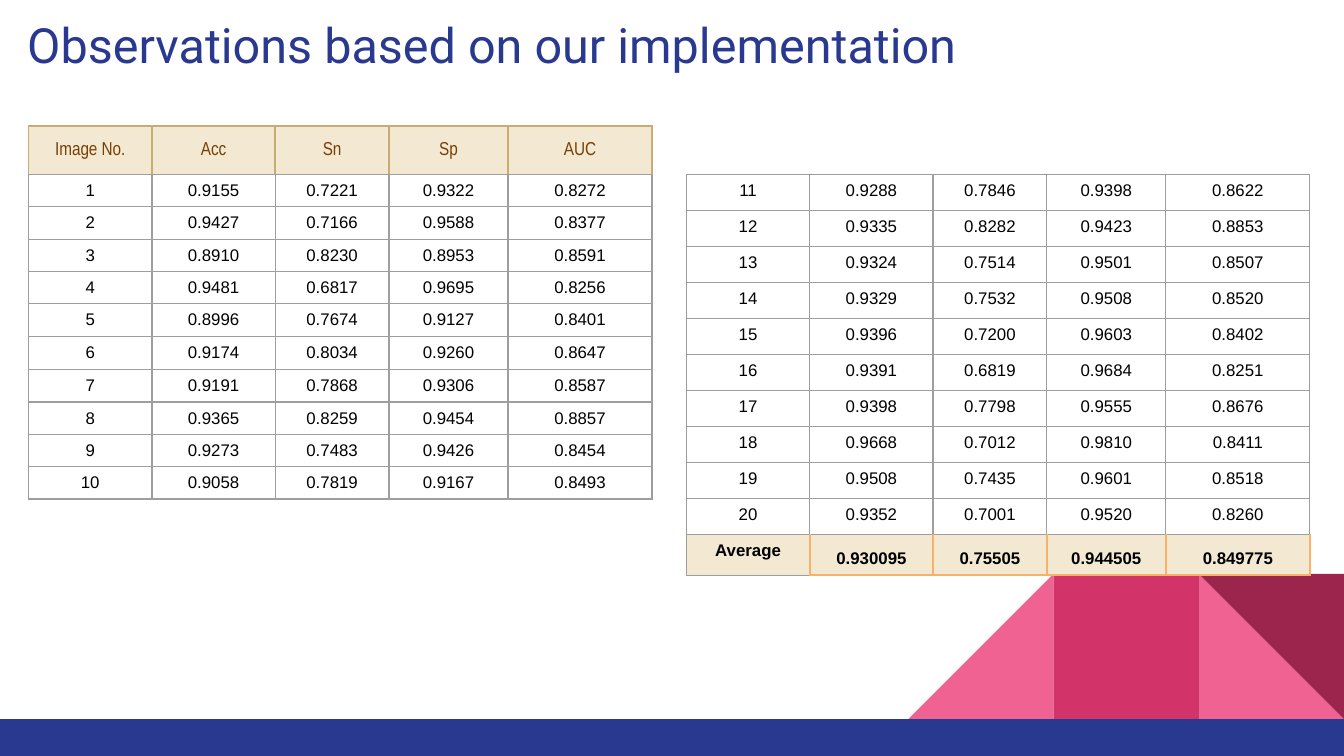
from collections import namedtuple
from dataclasses import dataclass

from lxml.etree import SubElement
from pptx import Presentation
from pptx.dml.color import RGBColor
from pptx.enum.shapes import MSO_SHAPE as Preset
from pptx.enum.text import MSO_ANCHOR as Anchor, PP_ALIGN as Align
from pptx.oxml import parse_xml
from pptx.oxml.ns import nsdecls, qn
from pptx.util import Pt

Box = namedtuple("Box", "left top width height")
Style = namedtuple("Style", "font size color bold fill anchor insets spacing borders")


@dataclass(frozen=True)
class Theme:
    """Colours, fonts and type sizes of the deck."""
    navy: str = "2A3990"
    pink: str = "F06292"
    rose: str = "D23369"
    wine: str = "9C254D"
    sand: str = "F3E9D3"
    gold: str = "C8AD73"
    orange: str = "F6B26B"
    brown: str = "783F04"
    black: str = "000000"
    gray: str = "9E9E9E"
    title_font: str = "Roboto"
    header_font: str = "Arial Narrow"
    body_font: str = "Arial"
    title_size: float = 26
    header_size: float = 10
    body_size: float = 9


THEME = Theme()
GRAY_LINE, GOLD_LINE, ORANGE_LINE = (THEME.gray, 0.75), (THEME.gold, 1), (THEME.orange, 1)
BODY = Style(THEME.body_font, THEME.body_size, THEME.black, False, None,
             Anchor.TOP, (7.2, 3.6), None, dict.fromkeys("LRTB", GRAY_LINE))
HEADER = Style(THEME.header_font, THEME.header_size, THEME.brown, False, THEME.sand,
               Anchor.MIDDLE, (5, 3), None,
               {"L": GOLD_LINE, "R": GOLD_LINE, "T": GOLD_LINE, "B": GRAY_LINE})
AVERAGE_LABEL = BODY._replace(bold=True, fill=THEME.sand,
                              borders={**BODY.borders, "R": ORANGE_LINE})
AVERAGE = AVERAGE_LABEL._replace(
    anchor=Anchor.BOTTOM, insets=(2.2, 3.6), spacing=1.15,
    borders={"L": ORANGE_LINE, "R": ORANGE_LINE, "T": GRAY_LINE, "B": ORANGE_LINE})

COLUMN_WIDTHS = (66.1, 66.1, 60.9, 63.8, 77.2)
HEADINGS = ("Image No.", "Acc", "Sn", "Sp", "AUC")
SCORES = """
0.9155 0.7221 0.9322 0.8272
0.9427 0.7166 0.9588 0.8377
0.8910 0.8230 0.8953 0.8591
0.9481 0.6817 0.9695 0.8256
0.8996 0.7674 0.9127 0.8401
0.9174 0.8034 0.9260 0.8647
0.9191 0.7868 0.9306 0.8587
0.9365 0.8259 0.9454 0.8857
0.9273 0.7483 0.9426 0.8454
0.9058 0.7819 0.9167 0.8493
0.9288 0.7846 0.9398 0.8622
0.9335 0.8282 0.9423 0.8853
0.9324 0.7514 0.9501 0.8507
0.9329 0.7532 0.9508 0.8520
0.9396 0.7200 0.9603 0.8402
0.9391 0.6819 0.9684 0.8251
0.9398 0.7798 0.9555 0.8676
0.9668 0.7012 0.9810 0.8411
0.9508 0.7435 0.9601 0.8518
0.9352 0.7001 0.9520 0.8260
"""
IMAGES = [(str(number), *line.split())
          for number, line in enumerate(SCORES.strip().splitlines(), 1)]
AVERAGES = ("Average", "0.930095", "0.75505", "0.944505", "0.849775")


def add_span(para, text, font, size, color, bold=False):
    """Add one formatted run to a paragraph."""
    span = para.add_run()
    span.text = text
    span.font.name, span.font.size, span.font.bold = font, Pt(size), bold
    span.font.color.rgb = RGBColor.from_string(color)


def add_block(page, preset, box, color):
    """Add a plain filled shape without outline or shadow."""
    block = page.shapes.add_shape(preset, *map(Pt, box))
    block.shadow.inherit = False
    block.fill.solid()
    block.fill.fore_color.rgb = RGBColor.from_string(color)
    block.line.fill.background()
    return block


def add_decoration(page, box, bar_height):
    """Draw the bottom bar with the pink blocks standing on its right end."""
    side = box.height - bar_height
    right = box.left + box.width
    left_box, middle_box, right_box = (
        Box(right - count * side, box.top, side, side) for count in (3, 2, 1))
    add_block(page, Preset.RIGHT_TRIANGLE, right_box, THEME.pink)
    mirrored = add_block(page, Preset.RIGHT_TRIANGLE, left_box, THEME.pink)
    mirrored._element.spPr.get_or_add_xfrm().set("flipH", "1")
    add_block(page, Preset.RECTANGLE, middle_box, THEME.rose)
    add_block(page, Preset.RIGHT_TRIANGLE, right_box, THEME.wine).rotation = 180
    bar = Box(box.left, box.top + side, box.width, bar_height)
    add_block(page, Preset.RECTANGLE, bar, THEME.navy)


def add_title(page, box, text):
    """Place the slide title."""
    frame = page.shapes.add_textbox(*map(Pt, box)).text_frame
    frame.word_wrap = True
    frame.vertical_anchor = Anchor.MIDDLE
    frame.margin_left = frame.margin_right = Pt(7.2)
    frame.margin_top = frame.margin_bottom = Pt(7.2)
    add_span(frame.paragraphs[0], text, THEME.title_font, THEME.title_size, THEME.navy)


def set_borders(cell, borders):
    """Give a cell its four border lines."""
    properties = cell._tc.get_or_add_tcPr()
    for index, side in enumerate("LRTB"):
        color, width = borders[side]
        line = parse_xml(f'<a:ln{side} {nsdecls("a")} w="{Pt(width)}"/>')
        fill = SubElement(line, qn("a:solidFill"))
        SubElement(fill, qn("a:srgbClr")).set("val", color)
        properties.insert(index, line)


def fill_cell(cell, text, style):
    """Write and format one table cell."""
    cell.vertical_anchor = style.anchor
    cell.margin_left = cell.margin_right = Pt(style.insets[0])
    cell.margin_top = cell.margin_bottom = Pt(style.insets[1])
    if style.fill:
        cell.fill.solid()
        cell.fill.fore_color.rgb = RGBColor.from_string(style.fill)
    else:
        cell.fill.background()
    set_borders(cell, style.borders)
    para = cell.text_frame.paragraphs[0]
    para.alignment = Align.CENTER
    if style.spacing:
        para.line_spacing = style.spacing
    add_span(para, text, style.font, style.size, style.color, style.bold)


def add_score_table(page, box, rows, row_styles, row_heights):
    """Place a score table whose rows each have a label style and a value style."""
    table = page.shapes.add_table(len(rows), len(COLUMN_WIDTHS), *map(Pt, box)).table
    table.first_row = table.horz_banding = False
    for column, width in zip(table.columns, COLUMN_WIDTHS):
        column.width = Pt(width)
    for row, height, texts, styles in zip(table.rows, row_heights, rows, row_styles):
        row.height = Pt(height)
        label_style, value_style = styles
        for index, (cell, text) in enumerate(zip(row.cells, texts)):
            fill_cell(cell, text, value_style if index else label_style)


def build_results_page(deck):
    """Build the page with the title and the two score tables."""
    page = deck.slides.add_slide(deck.slide_layouts[6])
    add_decoration(page, Box(0, 307.44, 720, 97.56), 19.8)
    width = sum(COLUMN_WIDTHS)
    body_styles = [(BODY, BODY)] * 10
    left_heights = [26] + [17.3] * 4 + [17.3, 18] + [17.3] * 4
    add_score_table(page, Box(15.3, 67.5, width, sum(left_heights)),
                    [HEADINGS] + IMAGES[:10], [(HEADER, HEADER)] + body_styles, left_heights)
    add_title(page, Box(7.5, 0, 671, 47.5), "Observations based on our implementation")
    right_heights = [19.28] * 10 + [21.9]
    add_score_table(page, Box(367.7, 93.5, width, sum(right_heights)),
                    IMAGES[10:] + [AVERAGES], body_styles + [(AVERAGE_LABEL, AVERAGE)],
                    right_heights)


def main():
    """Create the deck and save it."""
    deck = Presentation()
    deck.slide_width, deck.slide_height = Pt(720), Pt(405)
    build_results_page(deck)
    deck.save("out.pptx")


if __name__ == "__main__":
    main()
